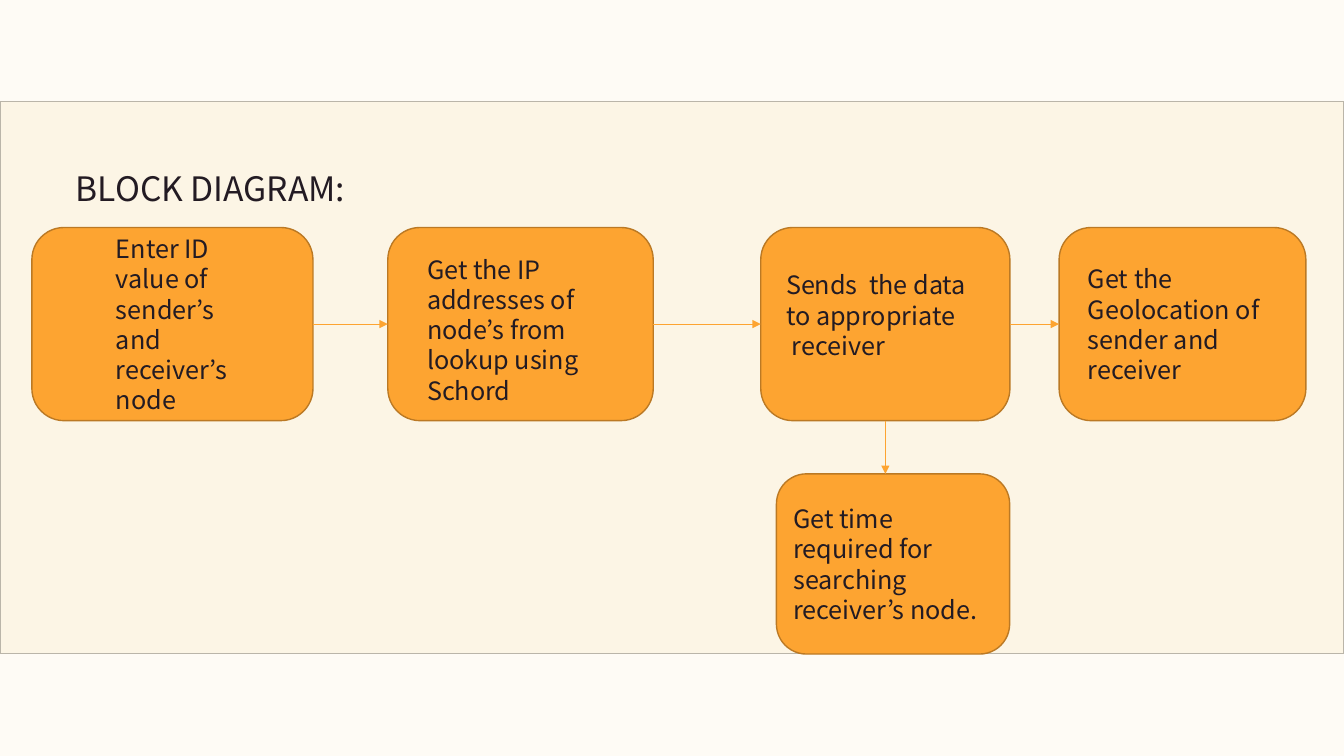
import pptx
import pptx.util
import pptx.dml.color
import pptx.enum.shapes
import pptx.enum.text
import pptx.oxml
import pptx.oxml.ns

Pt = pptx.util.Pt
MIDDLE = pptx.enum.text.MSO_ANCHOR.MIDDLE
LEFT = pptx.enum.text.PP_ALIGN.LEFT
SHAPE = pptx.enum.shapes.MSO_SHAPE

TITLE = "BLOCK DIAGRAM:"
STEPS = {
    "ids": ["Enter ID value of sender’s and receiver’s node"],
    "lookup": ["Get the IP addresses of node’s from lookup using Schord"],
    "send": ["Sends  the data to appropriate", " receiver"],
    "geo": ["Get the Geolocation of sender and receiver"],
    "time": ["Get time required for searching receiver’s node."],
}
ROW = ["ids", "lookup", "send", "geo"]

ROW_TOP, ROW_HEIGHT = 162.5, 138
FRAMES = {
    "ids": (22.8, ROW_TOP, 200.8, ROW_HEIGHT),
    "lookup": (277, ROW_TOP, 189.6, ROW_HEIGHT),
    "send": (543.4, ROW_TOP, 178, ROW_HEIGHT),
    "geo": (756.5, ROW_TOP, 176.3, ROW_HEIGHT),
    "time": (554.6, 338.5, 166.6, 128.7),
}
SIDE_PADS = {"ids": (60, 60), "lookup": (28, 29), "send": (18, 20),
             "geo": (20.5, 26), "time": (12, 12)}
TEXT_SHIFT = {"lookup": 4, "send": -6.5}
CORNER = 1 / 6
CORNER_INSET = 0.29

THEME = {
    "font": "Noto Sans CJK JP",
    "title_size": 24, "step_size": 18, "leading": 1.2,
    "back": "FEFBF5", "panel": "FCF5E5", "panel_line": "BAB5A9",
    "step": "FDA431", "step_line": "BB7924", "text": "231B23",
}


def color(name):
    return pptx.dml.color.RGBColor.from_string(THEME[name])


def add_block(kind, frame, fill, line):
    sp = s.shapes.add_shape(kind, *map(Pt, frame))
    sp.shadow.inherit = False
    sp.fill.solid()
    sp.fill.fore_color.rgb = color(fill)
    sp.line.color.rgb = color(line)
    sp.line.width = Pt(1)
    return sp


def write(tf, lines, size, margins):
    tf.word_wrap = True
    tf.auto_size = pptx.enum.text.MSO_AUTO_SIZE.NONE
    tf.vertical_anchor = MIDDLE
    tf.margin_left, tf.margin_top, tf.margin_right, tf.margin_bottom = map(Pt, margins)
    for i, line in enumerate(lines):
        p = tf.add_paragraph() if i else tf.paragraphs[0]
        p.text = line
        p.alignment = LEFT
        p.line_spacing = Pt(size * THEME["leading"])
        p.space_before = Pt(0)
        p.font.name = THEME["font"]
        p.font.size = Pt(size)
        p.font.color.rgb = color("text")


def add_step(name):
    frame = FRAMES[name]
    sp = add_block(SHAPE.ROUNDED_RECTANGLE, frame, "step", "step_line")
    inset = CORNER_INSET * CORNER * min(frame[2:])
    left, right = (pad - inset for pad in SIDE_PADS[name])
    shift = TEXT_SHIFT.get(name, 0)
    margins = (left, max(2 * shift, 0), right, max(-2 * shift, 0))
    write(sp.text_frame, STEPS[name], THEME["step_size"], margins)
    return sp


def add_arrow(start, end):
    c = s.shapes.add_connector(pptx.enum.shapes.MSO_CONNECTOR.STRAIGHT, *start, *end)
    c.line.color.rgb = color("step")
    c.line.width = Pt(0.5)
    ln = c.line._get_or_add_ln()
    tail = pptx.oxml.parse_xml(
        '<a:tailEnd %s type="triangle"/>' % pptx.oxml.ns.nsdecls("a"))
    ln.append(tail)
    ln.addnext(pptx.oxml.parse_xml('<a:effectLst %s/>' % pptx.oxml.ns.nsdecls("a")))
    return c


prs = pptx.Presentation()
prs.slide_width, prs.slide_height = Pt(960), Pt(540)
s = prs.slides.add_slide(prs.slide_layouts[5])
s.background.fill.solid()
s.background.fill.fore_color.rgb = color("back")

title = s.shapes.title
title.left, title.top, title.width, title.height = map(Pt, (47, 116, 287, 36))
write(title.text_frame, [TITLE], THEME["title_size"], (7.2, 3.6, 7.2, 3.6))

panel = add_block(SHAPE.RECTANGLE, (0, 72.5, 960, 394.5), "panel", "panel_line")
title._element.addprevious(panel._element)

blocks = {name: add_step(name) for name in STEPS}

for a, b in zip(ROW, ROW[1:]):
    src, dst = blocks[a], blocks[b]
    y = src.top + src.height // 2
    c = add_arrow((src.left + src.width, y), (dst.left, y))
    c.begin_connect(src, 3)
    c.end_connect(dst, 1)

send, time = blocks["send"], blocks["time"]
x = send.left + send.width // 2
add_arrow((x, send.top + send.height), (x, time.top)).begin_connect(send, 2)

prs.save("out.pptx")
